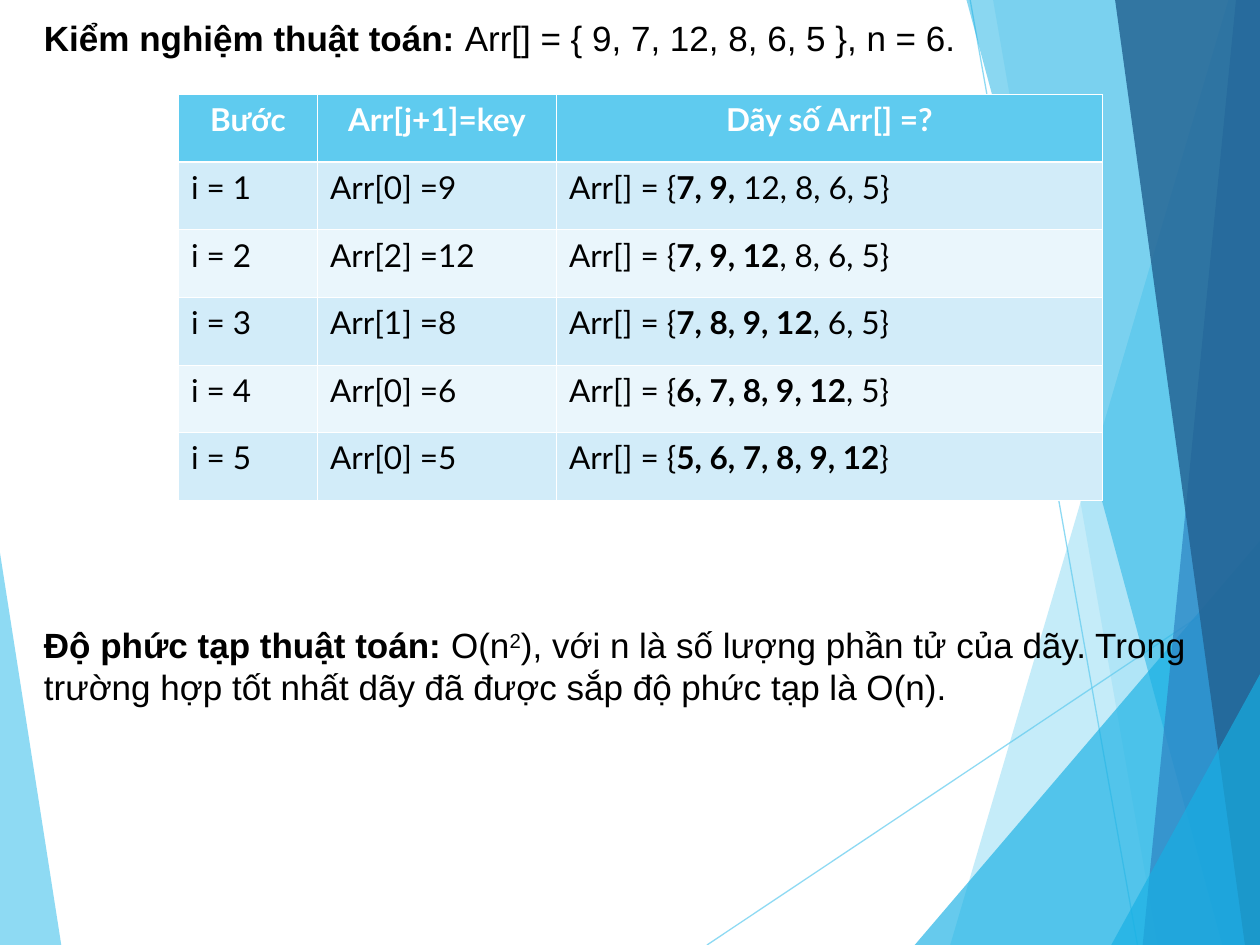
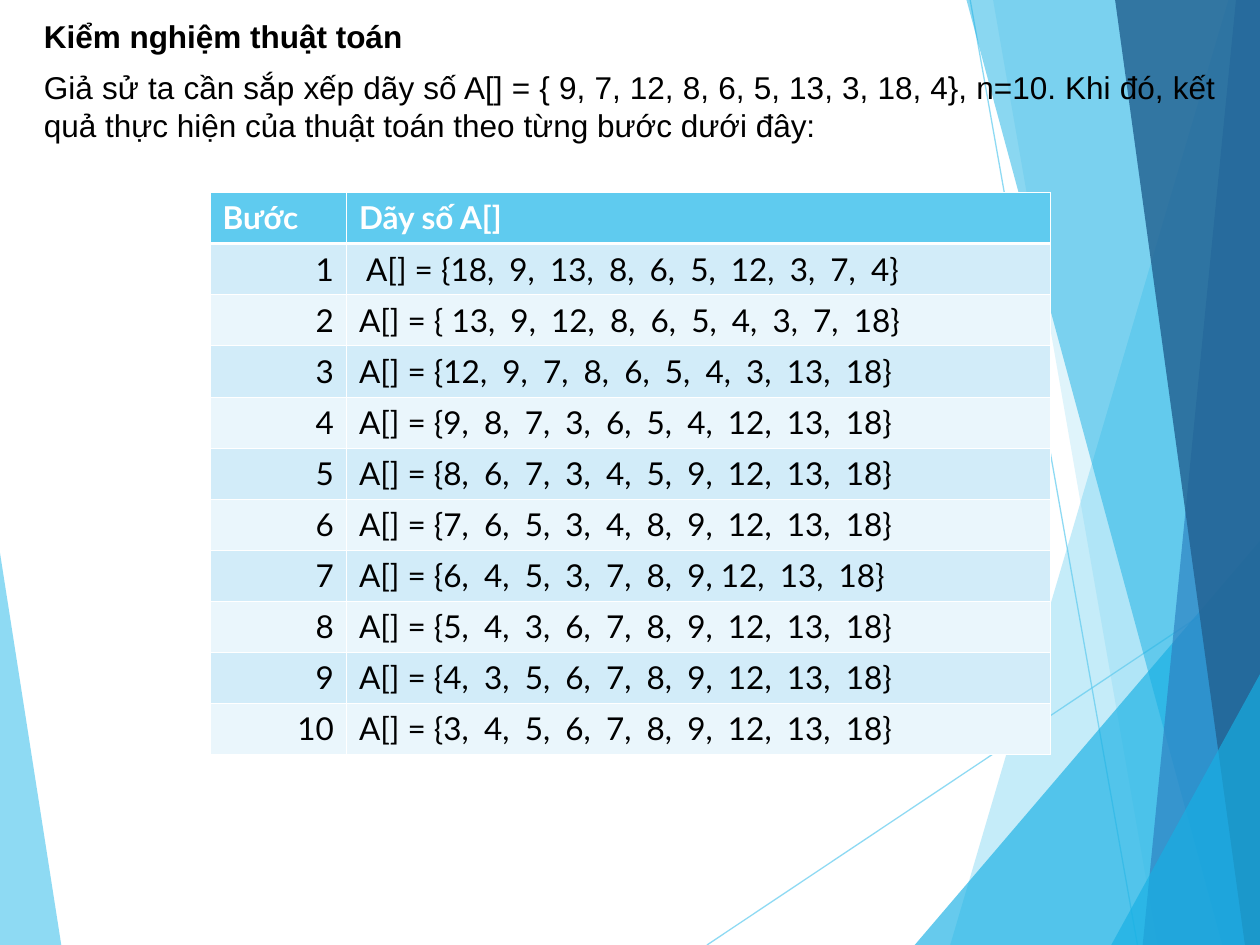
import dataclasses
import pptx
import pptx.dml.color
import pptx.enum.shapes
import pptx.enum.text
import pptx.oxml
import pptx.oxml.ns
import pptx.util

Pt = pptx.util.Pt
qn = pptx.oxml.ns.qn
ALIGN = pptx.enum.text.PP_ALIGN


@dataclasses.dataclass(frozen=True)
class Theme:
    sky: str = "5FCBEF"
    cyan: str = "17B0E4"
    blue: str = "2E83C3"
    navy: str = "236292"
    odd: str = "D2ECF9"
    even: str = "EAF6FC"
    white: str = "FFFFFF"
    black: str = "000000"
    prose: str = "Arial"
    grid: str = "Lato"
    large: int = 20
    small: int = 18
    thin: float = 0.45
    thick: float = 1.47
    gap: float = 4.07   # extra width of a wide space in a number list


T = Theme()
WIDE, HIGH = 720, 540

# ---- Content: a paragraph is a list of (text, kind) runs ----
TEST = [[("Kiểm nghiệm thuật toán: ", "bold"),
         ("Arr[] = { 9, 7, 12, 8, 6, 5 }, n = 6.", "")]]
COST = [[("Độ phức tạp thuật toán: ", "bold"), ("O(n", ""), ("2", "super"),
         ("), với n là số lượng phần tử của dãy. Trong trường hợp tốt nhất "
          "dãy đã được sắp độ phức tạp là O(n).", "")]]
TASK = [[("Kiểm nghiệm thuật toán", "bold")],
        [("Giả sử ta cần sắp xếp dãy số A[] = { 9, 7, 12, 8, 6, 5, 13, 3, 18, 4}, "
          "n=10. Khi đó, kết quả thực hiện của thuật toán theo từng bước "
          "dưới đây:", "")]]

INSERT_HEAD = ["Bước", "Arr[j+1]=key", "Dãy số Arr[] =?"]
INSERT_STEPS = [  # key, sorted part, rest
    ("Arr[0] =9", "7, 9,", " 12, 8, 6, 5}"),
    ("Arr[2] =12", "7, 9, 12", ", 8, 6, 5}"),
    ("Arr[1] =8", "7, 8, 9, 12", ", 6, 5}"),
    ("Arr[0] =6", "6, 7, 8, 9, 12", ", 5}"),
    ("Arr[0] =5", "5, 6, 7, 8, 9, 12", "}"),
]

HEAP_HEAD = ["Bước", "Dãy số A[]"]
HEAP_STEPS = [  # a bar stands for a comma and a wide space
    " A[] = {18|9|13|8|6|5|12|3|7|4}",
    "A[] = { 13|9|12|8|6|5|4|3|7|18}",
    "A[] = {12|9|7|8|6|5|4|3|13|18}",
    "A[] = {9|8|7|3|6|5|4|12|13|18}",
    "A[] = {8|6|7|3|4|5|9|12|13|18}",
    "A[] = {7|6|5|3|4|8|9|12|13|18}",
    "A[] = {6|4|5|3|7|8|9, 12|13|18}",
    "A[] = {5|4|3|6|7|8|9|12|13|18}",
    "A[] = {4|3|5|6|7|8|9|12|13|18}",
    "A[] = {3|4|5|6|7|8|9|12|13|18}",
]


def band(top, foot):
    """Outline from a slanted left side to the right slide edge."""
    return [(top, 0), (foot, HIGH), (WIDE, HIGH), (WIDE, 0)]


def spike(foot, tip):
    """Triangle in the lower right corner."""
    return [(foot, HIGH), (WIDE, tip), (WIDE, HIGH)]


# Outline, colour, opacity in percent, from back to front
FACETS = [
    ([(0, 316), (35, HIGH), (0, HIGH)], T.sky, 70),
    (band(702, 543), T.sky, 36),
    (band(567.5, 661.5), T.sky, 20),
    (spike(522.7, 309), T.cyan, 66),
    (band(552.3, 698.4), T.cyan, 50),
    (band(706.3, 653), T.blue, 70),
    (band(637.2, 711.4), T.navy, 82),
    (spike(635, 385.2), T.cyan, 66),
]
RAYS = [(404, HIGH, WIDE, 329), (554.4, 0, 650, HIGH)]


# ---- Helpers ----
def rgb(code):
    return pptx.dml.color.RGBColor.from_string(code)


def fade(shape, share):
    for tint in shape.element.spPr.iter(qn("a:srgbClr")):
        alpha = tint.makeelement(qn("a:alpha"), {"val": str(share * 1000)})
        tint.append(alpha)


def draw_back(slide):
    for x1, y1, x2, y2 in RAYS:
        ray = slide.shapes.add_connector(
            pptx.enum.shapes.MSO_CONNECTOR.STRAIGHT, Pt(x1), Pt(y1), Pt(x2), Pt(y2))
        ray.line.color.rgb = rgb(T.sky)
        ray.line.width = Pt(0.75)
        fade(ray, 70)
        props = ray.element.spPr
        props.append(props.makeelement(qn("a:effectLst"), {}))
    for points, tint, share in FACETS:
        first, *rest = [(Pt(x), Pt(y)) for x, y in points]
        pen = slide.shapes.build_freeform(*first)
        pen.add_line_segments(rest, close=True)
        facet = pen.convert_to_shape()
        facet.shadow.inherit = False
        facet.fill.solid()
        facet.fill.fore_color.rgb = rgb(tint)
        facet.line.fill.background()
        fade(facet, share)


def write(para, runs, face, size, tint, align=None):
    para.alignment = align
    font = para.font
    font.name, font.size = face, Pt(size)
    font.color.rgb = rgb(tint)
    kinds = {kind for _, kind in runs}
    if len(kinds) == 1:
        font.bold = "bold" in kinds
    for text, kind in runs:
        run = para.add_run()
        run.text = text
        if len(kinds) > 1:
            run.font.bold = kind == "bold"
        props = run.font._element
        if kind == "super":
            props.set("baseline", "30000")
        elif kind == "gap":
            props.set("spc", str(round(T.gap * 100)))


def add_prose(slide, box, paras, size, align=None, space=0):
    shape = slide.shapes.add_textbox(*map(Pt, box))
    frame = shape.text_frame
    frame.word_wrap = True
    frame.auto_size = pptx.enum.text.MSO_AUTO_SIZE.SHAPE_TO_FIT_TEXT
    for i, runs in enumerate(paras):
        para = frame.add_paragraph() if i else frame.paragraphs[0]
        if i:
            para.space_before = Pt(space)
        write(para, runs, T.prose, size, T.black, align)


def edge(cell, row):
    """White rules, thicker between the head and the first step."""
    bold = {0: "lnB", 1: "lnT"}.get(row)
    props = cell._tc.get_or_add_tcPr()
    for i, side in enumerate(("lnL", "lnR", "lnT", "lnB")):
        width = Pt(T.thick if side == bold else T.thin)
        props.insert(i, pptx.oxml.parse_xml(
            f'<a:{side} {pptx.oxml.ns.nsdecls("a")} w="{width}"><a:solidFill>'
            f'<a:srgbClr val="{T.white}"/></a:solidFill></a:{side}>'))


def add_grid(slide, left, top, widths, height, head, steps, aligns, mid=None):
    rows = [[[(text, "bold")] for text in head]] + steps
    grid = slide.shapes.add_table(
        len(rows), len(widths), Pt(left), Pt(top),
        Pt(sum(widths)), Pt(height * len(rows))).table
    for col, width in zip(grid.columns, widths):
        col.width = Pt(width)
    for r, cells in enumerate(rows):
        grid.rows[r].height = Pt(height)
        back = T.sky if r == 0 else (T.even, T.odd)[r % 2]
        for c, runs in enumerate(cells):
            cell = grid.cell(r, c)
            cell.fill.solid()
            cell.fill.fore_color.rgb = rgb(back)
            edge(cell, r)
            write(cell.text_frame.paragraphs[0], runs, T.grid, T.small,
                  aligns[c] and T.black if r and aligns[c] else
                  (T.black if r else T.white),
                  aligns[c] if r else mid)


def spread(text):
    first, *rest = text.split("|")
    runs = [(first, "")]
    for part in rest:
        runs[-1] = (runs[-1][0] + ",", "")
        runs += [(" ", "gap"), (part, "")]
    return runs


# ---- Slides ----
def main():
    deck = pptx.Presentation()
    deck.slide_width, deck.slide_height = Pt(WIDE), Pt(HIGH)
    first, second = [deck.slides.add_slide(deck.slide_layouts[6]) for _ in range(2)]
    for slide in (first, second):
        draw_back(slide)

    # Insertion sort
    add_prose(first, (18, 6, 702, 32), TEST, T.large)
    steps = [[[(f"i = {i}", "")], [(key, "")],
              [("Arr[] = {", ""), (done, "bold"), (rest, "")]]
             for i, (key, done, rest) in enumerate(INSERT_STEPS, 1)]
    add_grid(first, 102, 54, (79.5, 136.5, 312), 38.65, INSERT_HEAD, steps,
             (None, None, None), ALIGN.CENTER)
    add_prose(first, (18, 353, 702, 55.5), COST, T.large)

    # Heap sort
    add_prose(second, (18, 6, 684, 80), TASK, T.small, ALIGN.JUSTIFY, 7.9)
    steps = [[[(str(i), "")], spread(text)] for i, text in enumerate(HEAP_STEPS, 1)]
    add_grid(second, 120, 110, (78, 402), 29.2, HEAP_HEAD, steps,
             (ALIGN.RIGHT, None))

    deck.save("out.pptx")


if __name__ == "__main__":
    main()
